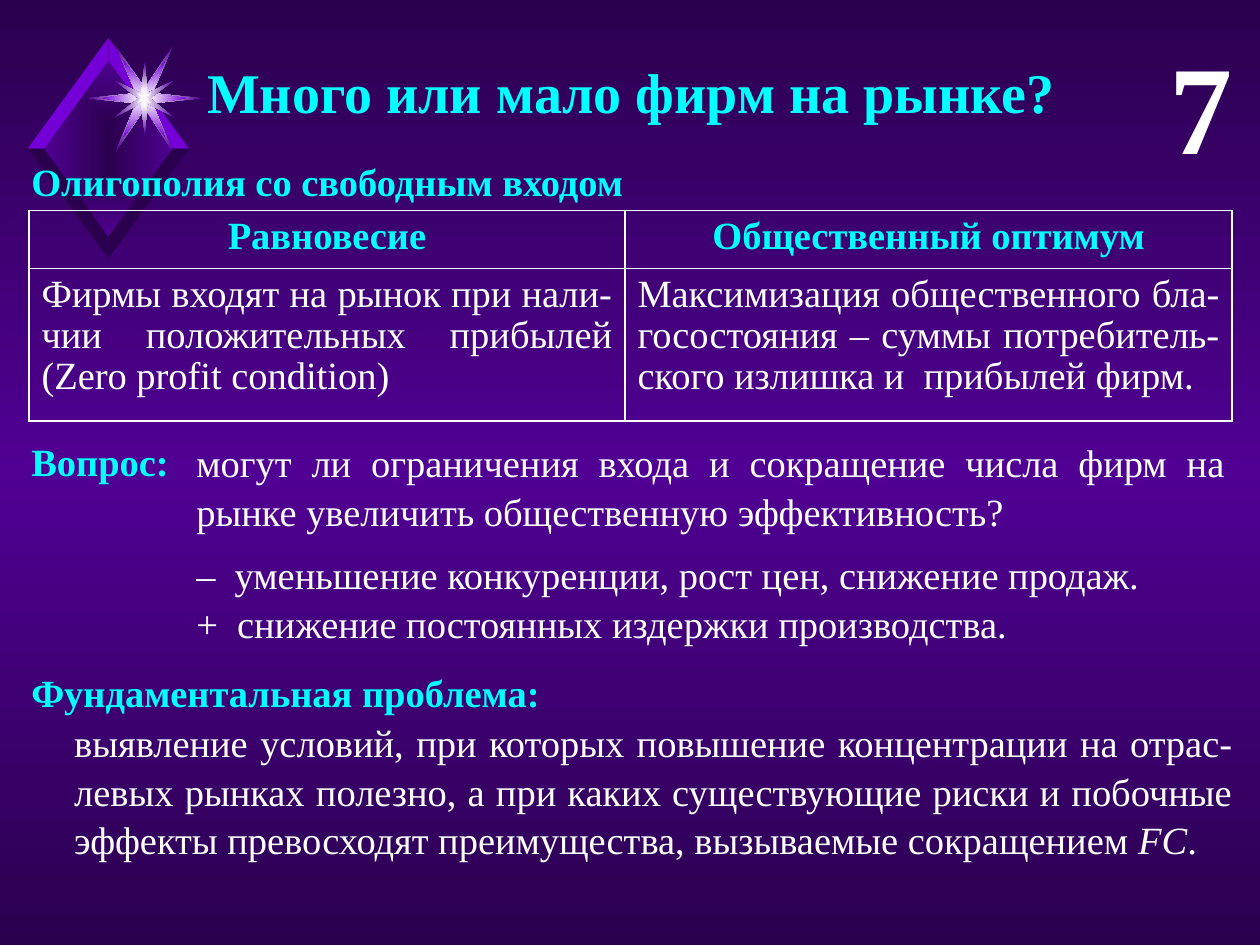
from lxml.etree import SubElement
from pptx import Presentation
from pptx.dml.color import RGBColor
from pptx.enum.text import MSO_ANCHOR, MSO_AUTO_SIZE, PP_ALIGN
from pptx.oxml import parse_xml
from pptx.oxml.ns import nsdecls, qn
from pptx.util import Inches, Pt

CYAN, WHITE = "00FFFF", "FFFFFF"
DARK, MID, LIGHT = "2A004E", "500093", "7500D7"
LEFT, MIDDLE, RIGHT, FULL = PP_ALIGN.LEFT, PP_ALIGN.CENTER, PP_ALIGN.RIGHT, PP_ALIGN.JUSTIFY

TITLE = ("Много или мало фирм на рынке?", (0.2, 0.38, 9.62, 0.64))
HEADS = [
    ("Олигополия со свободным входом", (0.15, 1.19, 9.73, 0.47)),
    ("Вопрос:", (0.15, 3.41, 1.31, 0.47)),
    ("Фундаментальная проблема:", (0.15, 5.24, 9.73, 0.47)),
]
BODIES = [
    ([["могут ли ограничения входа и сокращение числа фирм на рынке увеличить "
       "общественную эффективность?"]], (1.46, 3.42, 8.36, 0.84)),
    ([["–  уменьшение конкуренции, рост цен, снижение продаж."],
      ["+  снижение постоянных издержки производства."]], (1.46, 4.31, 8.36, 0.84)),
    ([["выявление условий, при которых повышение концентрации на отрас-левых рынках "
       "полезно, а при каких существующие риски и побочные эффекты превосходят "
       "преимущества, вызываемые сокращением ", "FC", "."]], (0.49, 5.64, 9.39, 1.21)),
]
NUMBER = ("7", (8.63, 0.12, 1.25, 1.31))
ITALIC = {"FC"}
GRID = [
    ["Равновесие", "Общественный оптимум"],
    ["Фирмы входят на рынок при нали-чии положительных прибылей (Zero profit condition)",
     "Максимизация общественного бла-госостояния – суммы потребитель-ского излишка и  "
     "прибылей фирм."],
]
COLS, ROWS = (4.73, 4.82), (0.46, 1.21)
EMBLEM = [
    ((DARK, MID), [(86, 47), (34, 118), (86, 189), (138, 118)]),
    (LIGHT, [(86, 48), (86, 30), (150, 118), (137, 118)]),
    (LIGHT, [(86, 30), (86, 48), (35, 118), (22, 118)]),
    (DARK, [(137, 118), (150, 118), (86, 205), (86, 188)]),
    (DARK, [(35, 118), (86, 188), (86, 205), (22, 118)]),
    ((WHITE, MID), [(108, 74), (92, 37), (115, 70), (137, 37), (121, 74), (160, 78),
                    (121, 82), (137, 120), (115, 86), (92, 120), (108, 82), (69, 78)]),
    ((WHITE, LIGHT), [(108, 74), (98, 48), (115, 70), (131, 48), (121, 74), (148, 78),
                      (121, 82), (131, 109), (115, 86), (98, 109), (108, 82), (81, 78)]),
    ((WHITE, MID), [(91, 64), (112, 74), (115, 49), (117, 74), (138, 64), (119, 78),
                    (138, 93), (117, 82), (115, 107), (112, 82), (91, 93), (110, 78)]),
    ("F9F9F9", [(109, 74), (113, 76), (114, 71), (115, 76), (120, 74), (116, 78),
                (120, 82), (115, 80), (114, 85), (113, 80), (109, 82), (112, 78)]),
]


def color(code):
    return RGBColor.from_string(code)


def blend(fill, root, codes, shade):
    """Give a fill evenly spaced gradient stops and the shade element that steers them."""
    fill.gradient()
    grad = next(root.iter(qn("a:gradFill")))
    for child in list(grad):
        grad.remove(child)
    stops = SubElement(grad, qn("a:gsLst"))
    for i, code in enumerate(codes):
        stop = SubElement(stops, qn("a:gs"), pos=str(100000 * i // (len(codes) - 1)))
        SubElement(stop, qn("a:srgbClr"), val=code)
    grad.append(parse_xml(shade))


def style(par, size, code, bold, align, pitch):
    par.alignment, par.line_spacing = align, pitch
    par.space_before = par.space_after = Pt(0)
    font = par.font
    font.name, font.size, font.bold = "Times New Roman", Pt(size), bold
    font.color.rgb = color(code)


def write(shape, pars, box, size=22, code=CYAN, bold=True, align=LEFT):
    shape.left, shape.top, shape.width, shape.height = map(Inches, box)
    frame = shape.text_frame
    frame.word_wrap, frame.auto_size = True, MSO_AUTO_SIZE.SHAPE_TO_FIT_TEXT
    frame.vertical_anchor = MSO_ANCHOR.TOP
    for i, parts in enumerate(pars):
        par = frame.add_paragraph() if i else frame.paragraphs[0]
        for part in parts:
            run = par.add_run()
            run.text = part
            if part in ITALIC:
                run.font.italic = True
        style(par, size, code, bold, align, 1.05)


def label(slide, pars, box, **look):
    write(slide.shapes.add_textbox(0, 0, 0, 0), pars, box, **look)


def emblem(slide):
    group = slide.shapes.add_group_shape()
    shade = (f'<a:path {nsdecls("a")} path="rect">'
             '<a:fillToRect l="50000" t="50000" r="50000" b="50000"/></a:path>')
    for paint, points in EMBLEM:
        pen = group.shapes.build_freeform(*points[0], scale=Inches(0.01))
        pen.add_line_segments(points[1:], close=True)
        shape = pen.convert_to_shape()
        shape.shadow.inherit = False
        shape.line.fill.background()
        if isinstance(paint, tuple):
            blend(shape.fill, shape.element, paint, shade)
        else:
            shape.fill.solid()
            shape.fill.fore_color.rgb = color(paint)


def border(cell):
    for i, side in enumerate("LRTB"):
        cell._tc.get_or_add_tcPr().insert(i, parse_xml(
            f'<a:ln{side} {nsdecls("a")} w="12700"><a:solidFill>'
            f'<a:srgbClr val="{WHITE}"/></a:solidFill></a:ln{side}>'))


def grid(slide):
    table = slide.shapes.add_table(
        len(ROWS), len(COLS), Inches(0.23), Inches(1.67),
        Inches(sum(COLS)), Inches(sum(ROWS))).table
    table.first_row = table.horz_banding = False
    for col, width in zip(table.columns, COLS):
        col.width = Inches(width)
    for r, texts in enumerate(GRID):
        table.rows[r].height = Inches(ROWS[r])
        look = (WHITE, False, FULL) if r else (CYAN, True, MIDDLE)
        for c, text in enumerate(texts):
            cell = table.cell(r, c)
            cell.text = text
            cell.fill.background()
            border(cell)
            style(cell.text_frame.paragraphs[0], 22, *look, 0.96)


def main():
    deck = Presentation()
    deck.slide_width, deck.slide_height = Inches(10), Inches(7.5)
    slide = deck.slides.add_slide(deck.slide_layouts[5])
    blend(slide.background.fill, slide.element, (DARK, MID, DARK),
          f'<a:lin {nsdecls("a")} ang="5400000" scaled="0"/>')
    emblem(slide)
    text, box = TITLE
    write(slide.shapes.title, [[text]], box, size=32, align=MIDDLE)
    for text, box in HEADS:
        label(slide, [[text]], box)
    for pars, box in BODIES:
        label(slide, pars, box, code=WHITE, bold=False, align=FULL)
    grid(slide)
    text, box = NUMBER
    label(slide, [[text]], box, size=72, code=WHITE, align=RIGHT)
    deck.save("out.pptx")


if __name__ == "__main__":
    main()
